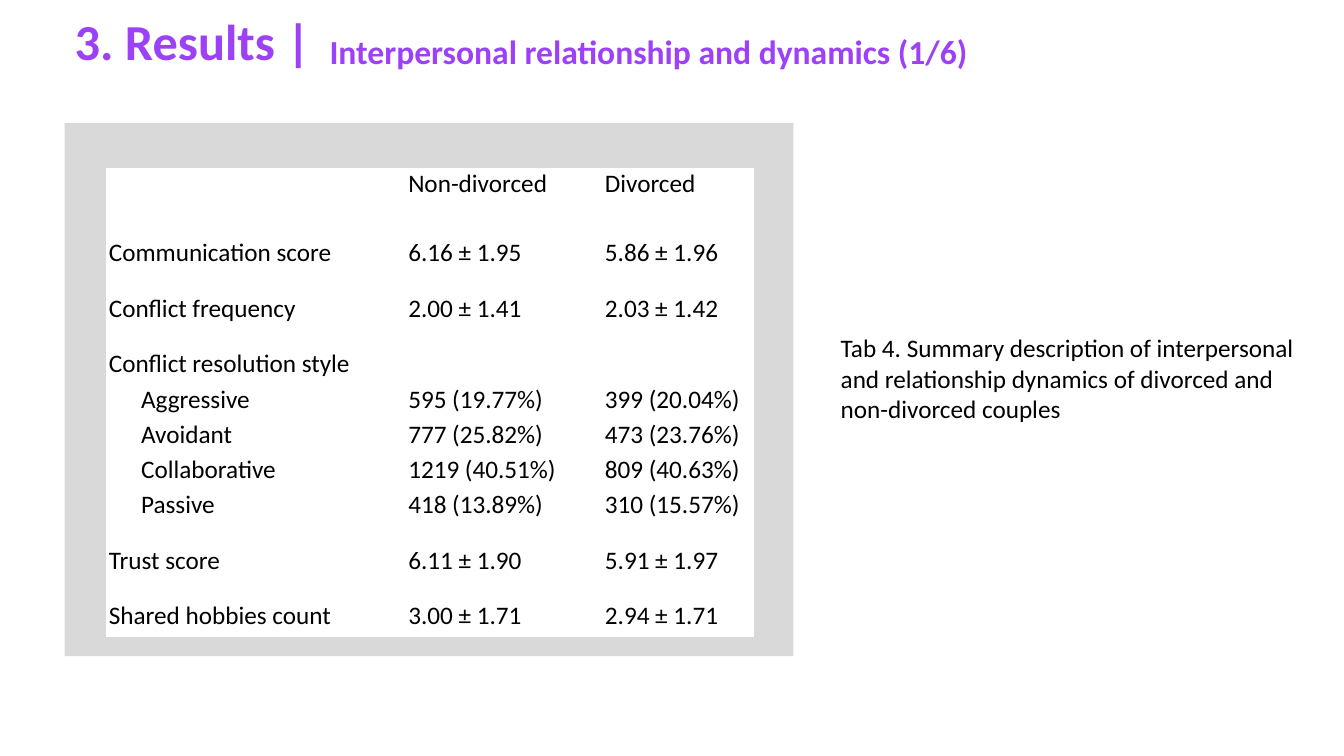
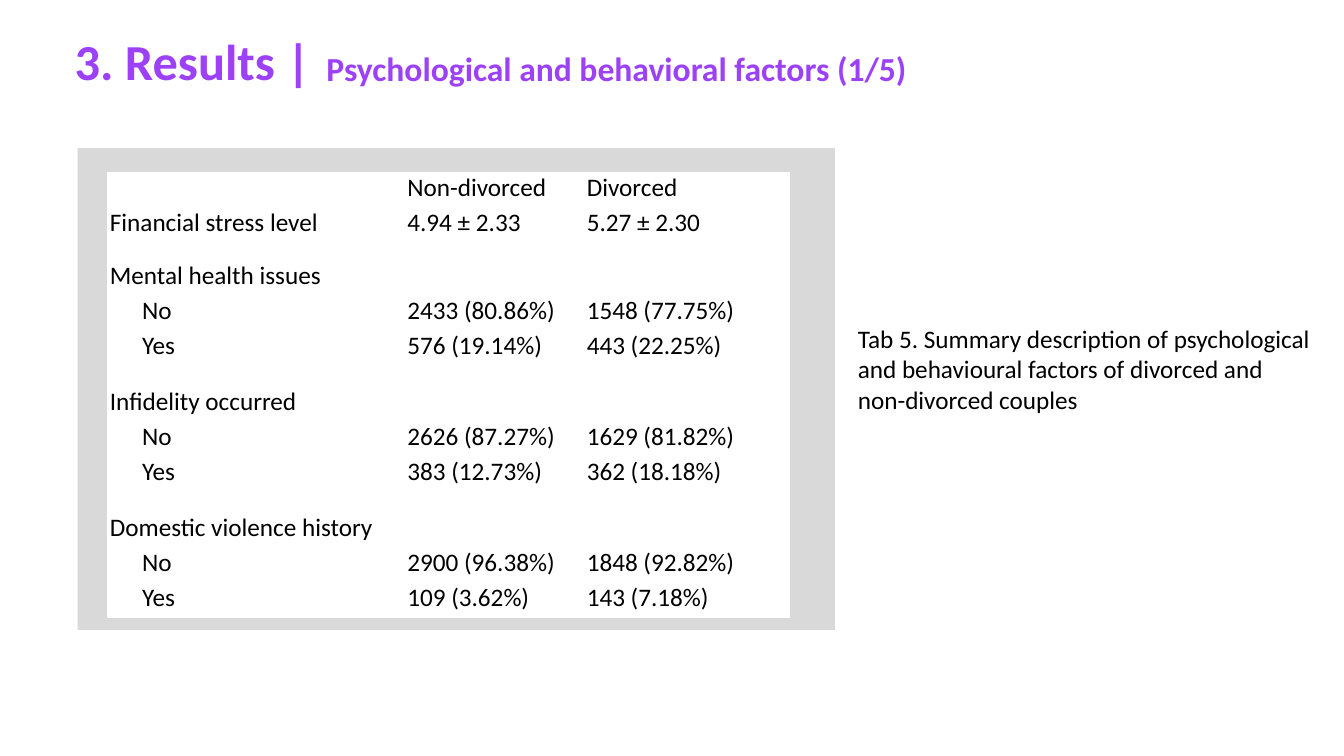
from lxml.etree import SubElement
from pptx import Presentation
from pptx.dml.color import RGBColor
from pptx.enum.shapes import MSO_SHAPE
from pptx.enum.text import MSO_ANCHOR, MSO_AUTO_SIZE, PP_ALIGN
from pptx.oxml.ns import qn
from pptx.util import Inches, Pt

# Shared style
PURPLE = RGBColor(0x9D, 0x41, 0xF9)
GREY = RGBColor(0xD9, 0xD9, 0xD9)
BLACK = RGBColor(0, 0, 0)
WHITE = RGBColor(0xFF, 0xFF, 0xFF)
FACE = "Calibri"
TITLE = "3. Results |"
HEAD = (0, "", "Non-divorced", "Divorced")
ROW, GAP, PAD, INDENT = 0.35, 0.2, 0.02, 0.32

# Content: a row is (level, label, value, value); a bare number is a gap height
SLIDES = [
    {
        "topic": "Interpersonal relationship and dynamics (1/6)",
        "note": "Tab 4. Summary description of interpersonal and relationship "
                "dynamics of divorced and non-divorced couples",
        "title_at": (0.64, 0.13), "topic_at": (3.17, 0.2), "note_at": (8.24, 3.25),
        "panel": (0.64, 1.22, 7.23, 5.29),
        "table_at": (1.06, 1.67), "cols": (2.97, 1.95, 1.49),
        "rows": [
            HEAD,
            0.34,
            (0, "Communication score", "6.16 ± 1.95", "5.86 ± 1.96"),
            GAP,
            (0, "Conflict frequency", "2.00 ± 1.41", "2.03 ± 1.42"),
            GAP,
            (0, "Conflict resolution style", "", ""),
            (1, "Aggressive", "595 (19.77%)", "399 (20.04%)"),
            (1, "Avoidant", "777 (25.82%)", "473 (23.76%)"),
            (1, "Collaborative", "1219 (40.51%)", "809 (40.63%)"),
            (1, "Passive", "418 (13.89%)", "310 (15.57%)"),
            GAP,
            (0, "Trust score", "6.11 ± 1.90", "5.91 ± 1.97"),
            GAP,
            (0, "Shared hobbies count", "3.00 ± 1.71", "2.94 ± 1.71"),
        ],
    },
    {
        "topic": "Psychological and behavioral factors (1/5)",
        "note": "Tab 5. Summary description of psychological and behavioural "
                "factors of divorced and non-divorced couples",
        "title_at": (0.64, 0.33), "topic_at": (3.14, 0.37), "note_at": (8.41, 3.16),
        "panel": (0.77, 1.47, 7.51, 4.78),
        "table_at": (1.07, 1.71), "cols": (2.95, 1.78, 2.03),
        "rows": [
            HEAD,
            (0, "Financial stress level", "4.94 ± 2.33", "5.27 ± 2.30"),
            0.17,
            (0, "Mental health issues", "", ""),
            (1, "No", "2433 (80.86%)", "1548 (77.75%)"),
            (1, "Yes", "576 (19.14%)", "443 (22.25%)"),
            GAP,
            (0, "Infidelity occurred", "", ""),
            (1, "No", "2626 (87.27%)", "1629 (81.82%)"),
            (1, "Yes", "383 (12.73%)", "362 (18.18%)"),
            GAP,
            (0, "Domestic violence history", "", ""),
            (1, "No", "2900 (96.38%)", "1848 (92.82%)"),
            (1, "Yes", "109 (3.62%)", "143 (7.18%)"),
        ],
    },
]


def box(*sizes):
    return [Inches(size) for size in sizes]


def style(para, size, color=BLACK, bold=False, italic=False, space=1.0):
    para.alignment = PP_ALIGN.LEFT
    para.line_spacing = space
    font = para.font
    font.name, font.size, font.bold, font.italic = FACE, Pt(size), bold, italic
    font.color.rgb = color


def add_title(slide, spot):
    title = slide.shapes.title
    title.left, title.top, title.width, title.height = box(*spot, 5.06, 0.62)
    frame = title.text_frame
    frame.text = TITLE
    frame.auto_size = MSO_AUTO_SIZE.NONE
    frame.vertical_anchor = MSO_ANCHOR.MIDDLE
    style(frame.paragraphs[0], 36, PURPLE, bold=True, space=0.9)


def add_text(slide, spot, area, text, **look):
    frame = slide.shapes.add_textbox(*box(*spot, *area)).text_frame
    frame.word_wrap = True
    frame.text = text
    style(frame.paragraphs[0], **look)


def add_panel(slide, place):
    panel = slide.shapes.add_shape(MSO_SHAPE.RECTANGLE, *box(*place))
    panel.shadow.inherit = False
    panel.fill.solid()
    panel.fill.fore_color.rgb = GREY
    panel.line.fill.background()


def fill_cell(cell, text, bold, sub):
    cell.fill.solid()
    cell.fill.fore_color.rgb = WHITE
    cell.margin_left = Inches(PAD + INDENT * sub)
    cell.margin_right = Inches(PAD)
    cell.margin_top = cell.margin_bottom = 0
    para = cell.text_frame.paragraphs[0]
    if text:
        cell.text = text
        style(para, 18, bold=bold, italic=bool(sub), space=1.15)
    else:
        # Small type keeps an empty row from growing
        SubElement(para._p, qn("a:endParaRPr"), sz="800")


def add_grid(slide, spot, cols, rows):
    highs = [ROW if isinstance(row, tuple) else row for row in rows]
    grid = slide.shapes.add_table(
        len(rows), len(cols), *box(*spot, sum(cols), sum(highs))).table
    grid.first_row = grid.horz_banding = False
    for col, width in zip(grid.columns, cols):
        col.width = Inches(width)
    for line, high, row in zip(grid.rows, highs, rows):
        line.height = Inches(high)
        level, *texts = row if isinstance(row, tuple) else (0, "", "", "")
        for col, (cell, text) in enumerate(zip(line.cells, texts)):
            fill_cell(cell, text, row is HEAD, level if col == 0 else 0)


def main():
    deck = Presentation()
    deck.slide_width, deck.slide_height = box(13.33, 7.5)
    for data in SLIDES:
        slide = deck.slides.add_slide(deck.slide_layouts[5])
        add_panel(slide, data["panel"])
        add_title(slide, data["title_at"])
        add_grid(slide, data["table_at"], data["cols"], data["rows"])
        add_text(slide, data["topic_at"], (8.8, 0.54), data["topic"],
                 size=24, color=PURPLE, bold=True, space=1.15)
        add_text(slide, data["note_at"], (4.73, 1.01), data["note"], size=18)
    deck.save("out.pptx")


if __name__ == "__main__":
    main()
